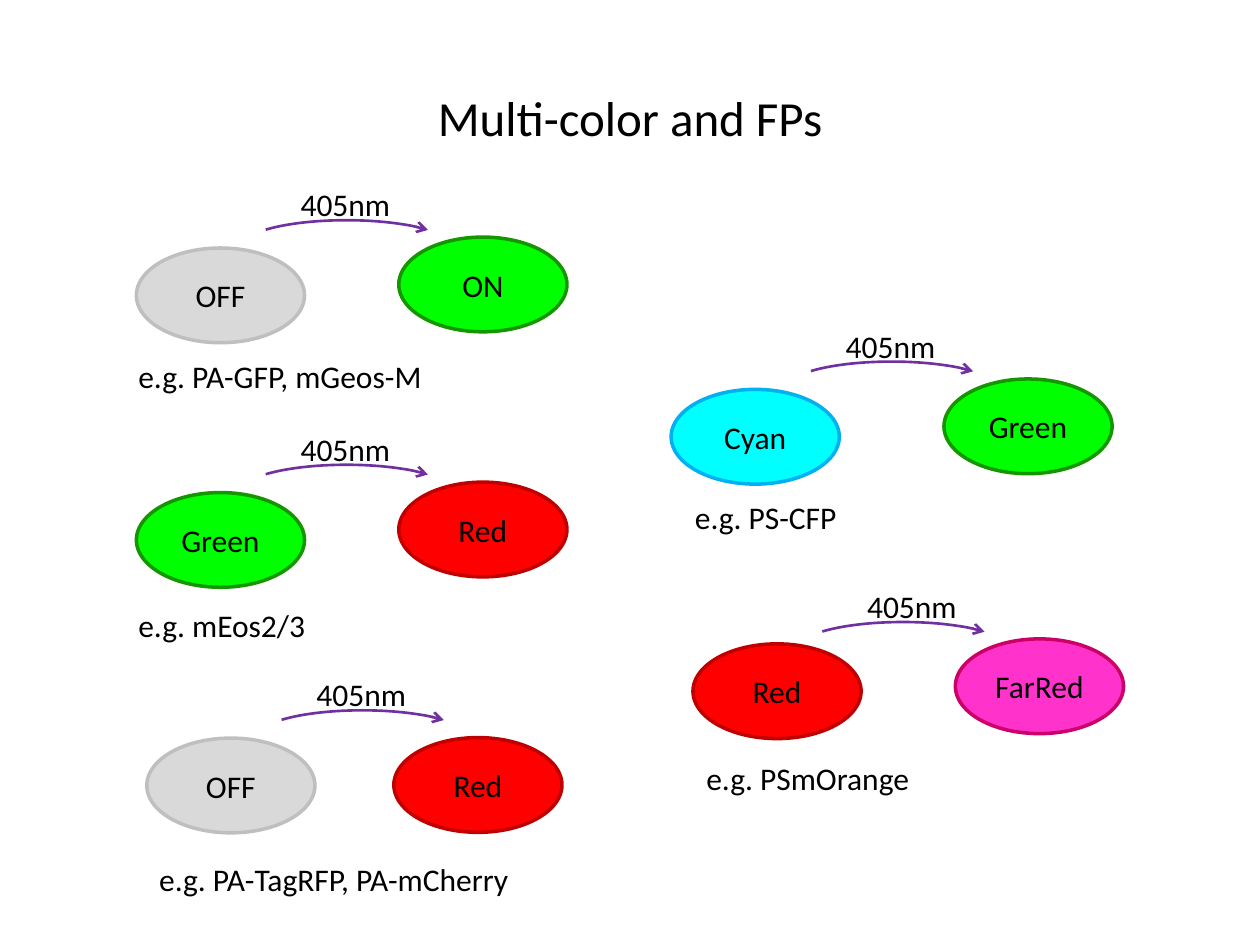
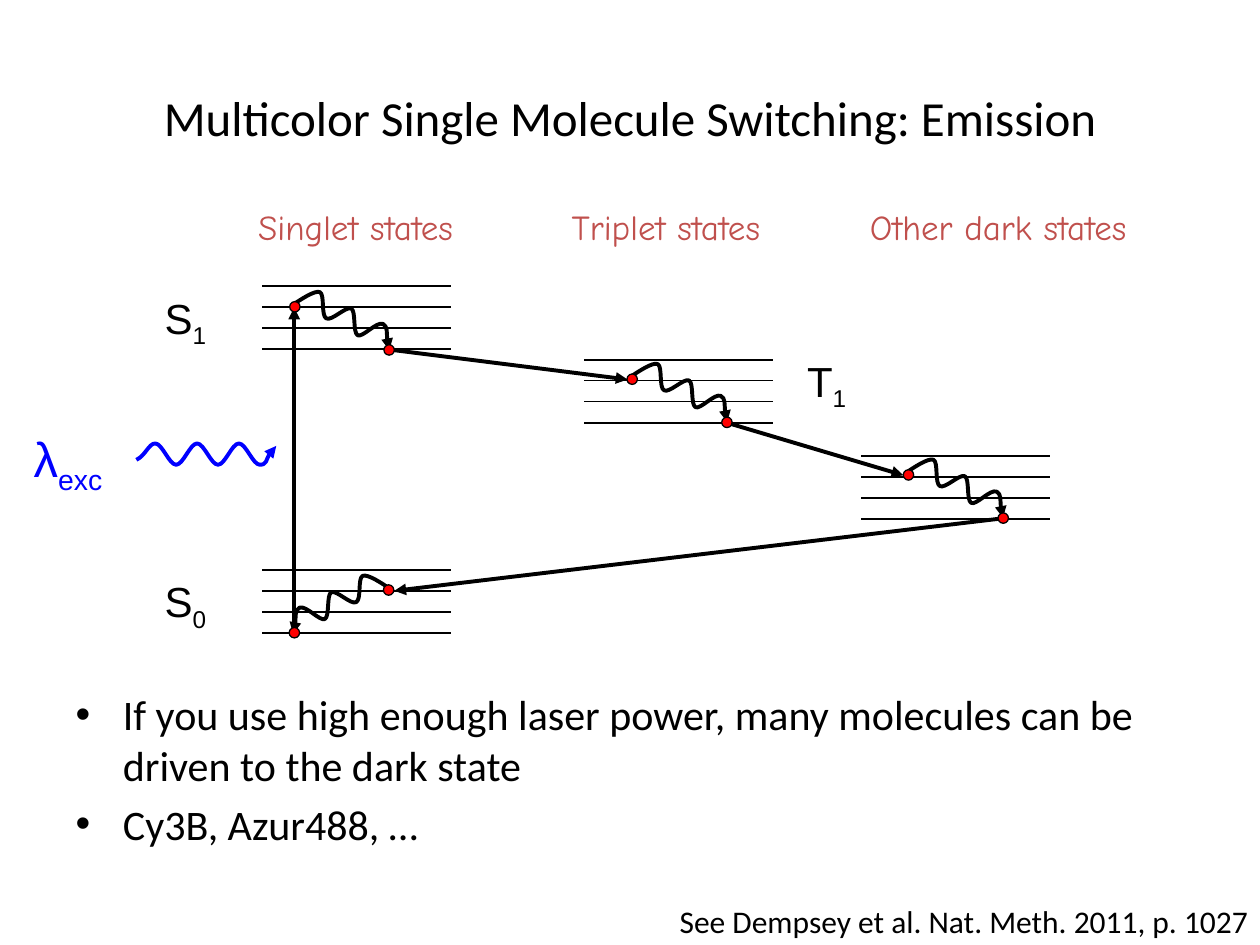
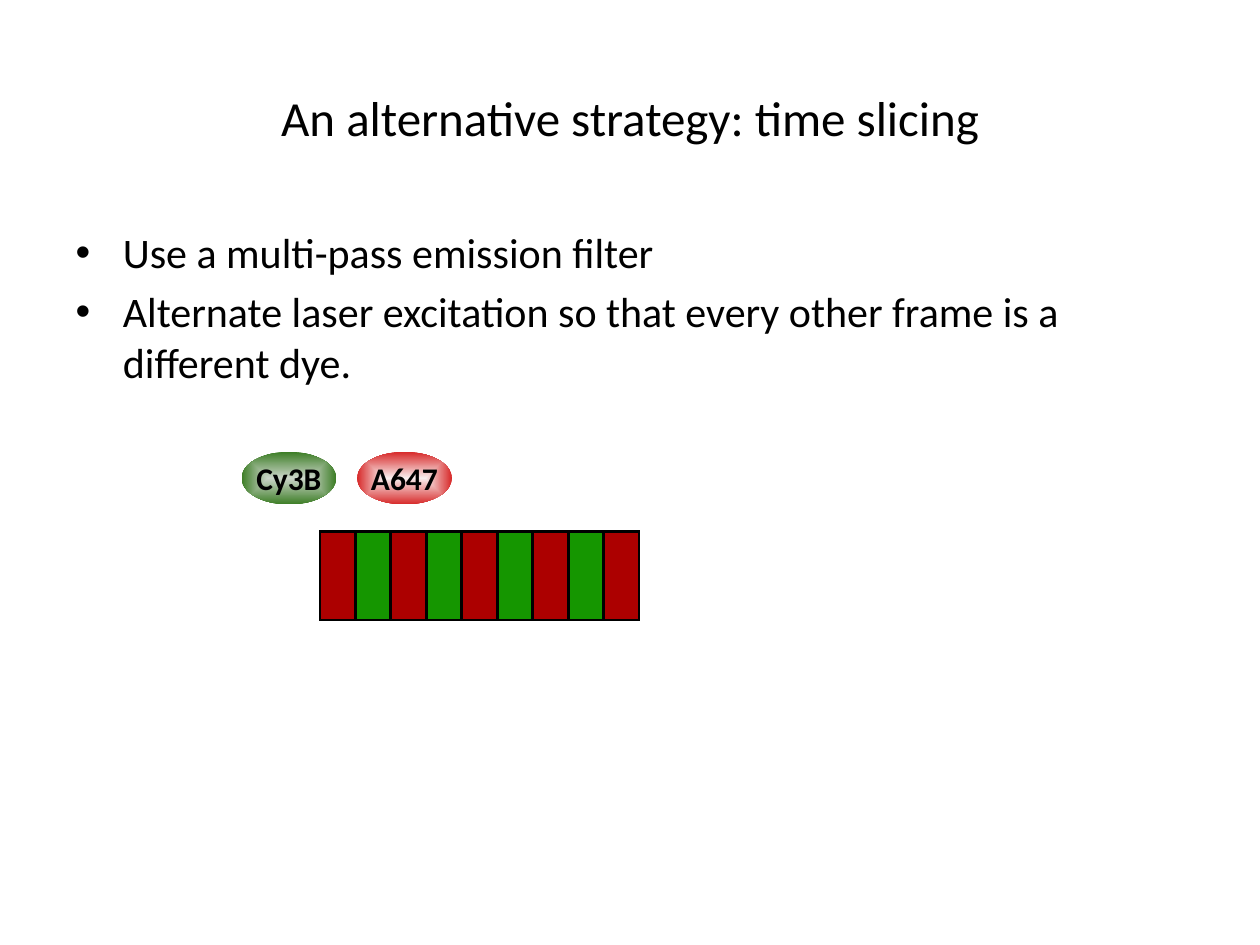
from itertools import cycle, islice

from lxml.etree import SubElement
from pptx import Presentation
from pptx.dml.color import RGBColor
from pptx.enum.shapes import MSO_CONNECTOR as Connector, MSO_SHAPE as Shape
from pptx.enum.text import MSO_ANCHOR as Anchor, PP_ALIGN as Align
from pptx.oxml.ns import qn
from pptx.util import Cm, Pt

# Shared look
BLACK, RED, VIOLET, BLUE, BRICK = "000000", "FF0000", "7030A0", "0000FF", "C0504D"
TITLE_SIZE, LIST_SIZE, LABEL_SIZE = 28, 24, 18
TITLE_ONLY, TITLE_AND_LIST = 5, 1

# Slide 1: fluorescent proteins, positions in cm
FP_TITLE = "Multi-color and FPs"
STATES = {  # fill, outline
    "OFF": ("D9D9D9", "BFBFBF"),
    "ON": ("00FF00", "159600"),
    "Green": ("00FF00", "159600"),
    "Red": (RED, "C00000"),
    "Cyan": ("00FFFF", "00B0F0"),
    "FarRed": ("FF33CC", "CC0066"),
}
SWITCHES = [  # before, its place, after, its place, arc, light left, example, its place and width
    ("OFF", (2.75, 5), "ON", (8.04, 4.78), (4.87, 4.44), 5.81,
     "e.g. PA-GFP, mGeos-M", (2.54, 7.07, 6.27)),
    ("Green", (2.75, 9.93), "Red", (8.04, 9.72), (4.87, 9.37), 5.81,
     "e.g. mEos2/3", (2.54, 12.09, 3.91)),
    ("OFF", (2.96, 14.88), "Red", (7.94, 14.87), (5.19, 14.32), 6.13,
     "e.g. PA-TagRFP, PA-mCherry", (2.96, 17.21, 7.62)),
    ("Cyan", (13.53, 7.85), "Green", (19.03, 7.64), (15.86, 7.29), 16.8,
     "e.g. PS-CFP", (13.76, 9.91, 3.4)),
    ("Red", (13.97, 12.98), "FarRed", (19.26, 12.88), (16.09, 12.54), 17.23,
     "e.g. PSmOrange", (13.99, 15.17, 4.65)),
]
LIGHT = "405nm"
STATE_SIZE, ARC_SIZE, ARC_ANGLES = (3.39, 1.91), (4.23, 1.06), (115.06, 209.11)
LIGHT_RISE, LIGHT_WIDTH, LABEL_HEIGHT = 0.83, 2.34, 1.02

# Slide 2: energy levels
EMISSION_TITLE = "Multicolor Single Molecule Switching: Emission"
EMISSION_POINTS = [
    "If you use high enough laser power, many molecules can be driven to the dark state",
    "Cy3B, Azur488, …",
]
EMISSION_LIST_BOX = (1.27, 13.76, 22.86, 4.01)
CITATION = "See Dempsey et al. Nat. Meth. 2011, p. 1027"
CITATION_BOX = (11.45, 18.06, 13.97, 1.02)
HEADINGS = [("Singlet states", 4.78, 4.78), ("Triplet states", 11.14, 4.57),
            ("Other dark states", 17.14, 5.97)]
SYMBOLS = [  # letter, subscript, box, size, colour
    ("S", "0", (3.07, 11.48, 1.4, 1.27), 24, BLACK),
    ("S", "1", (3.07, 5.77, 1.4, 1.27), 24, BLACK),
    ("T", "1", (16.02, 7.04, 1.35, 1.27), 24, BLACK),
    ("λ", "exc", (0.43, 8.52, 2.11, 1.45), 28, BLUE),
]
LEVEL_GROUPS = [(5.29, 11.49), (5.29, 5.77), (11.78, 7.25), (17.36, 9.19)]
LEVEL_COUNT, LEVEL_WIDTH, GROUP_HEIGHT = 4, 3.81, 1.27
TRANSITIONS = [
    ((5.93, 12.75), (5.93, 6.2)), ((7.95, 7.06), (12.65, 7.65)),
    ((14.68, 8.53), (18.21, 9.58)), ((20.12, 10.46), (7.95, 11.91)),
]
RELAXATIONS = [  # start, direction
    ((5.94, 6.12), 1), ((12.75, 7.57), 1), ((18.31, 9.5), 1), ((7.82, 11.84), -1),
]
RELAXATION_CURVE = [  # Bezier points, from the start
    (0, 0), (0.08, -0.05), (0.41, -0.28), (0.51, -0.23), (0.61, -0.18), (0.53, 0.25),
    (0.64, 0.3), (0.74, 0.36), (1.04, 0.05), (1.14, 0.1), (1.24, 0.15), (1.17, 0.58),
    (1.27, 0.64), (1.37, 0.69), (1.65, 0.36), (1.78, 0.41), (1.88, 0.46), (1.85, 0.84),
    (1.91, 0.94),
]
PHOTON_START = [(2.75, 9.27), (2.93, 9.19), (3, 8.94), (3.13, 8.94)]
PHOTON_END = [(5.38, 9.37), (5.39, 9.12), (5.57, 8.99)]
PHOTON_TURNS, PHOTON_SPAN, PHOTON_PULL = 5, 2.11, 0.14
CREST, TROUGH = 8.94, 9.37
ELECTRONS = [(5.83, 12.65), (5.84, 6.08), (7.74, 6.95), (7.73, 11.79),
             (12.64, 7.54), (14.55, 8.41), (18.21, 9.47), (20.12, 10.34)]
ELECTRON_SIZE = 0.21

# Slide 3: alternating frames
SLICING_TITLE = "An alternative strategy: time slicing"
SLICING_POINTS = [
    "Use a multi-pass emission filter",
    "Alternate laser excitation so that every other frame is a different dye.",
]
DYES = [("Cy3B", 4.87, ("CBD5C9", "3C7D25")), ("A647", 7.2, ("F9EEEE", "D72929"))]
DYE_TOP, DYE_SIZE = 9.11, (1.91, 1.06)
FRAME_COLOURS, FRAME_COUNT = ("AC0000", "159600"), 9
FRAME_LEFT, FRAME_TOP, FRAME_SPAN, FRAME_SIZE = 5.92, 11.25, 5.72, (1.78, 0.71)
FRAME_TURN = 270


def rgb(colour):
    return RGBColor.from_string(colour)


def lengths(*values):
    return [Cm(value) for value in values]


def style_font(font, colour=BLACK, **values):
    for key, value in ({"name": "Calibri"} | values).items():
        setattr(font, key, value)
    font.color.rgb = rgb(colour)


def style_line(line, colour, width, head=None):
    line.color.rgb = rgb(colour)
    line.width = Pt(width)
    if head:
        SubElement(line._get_or_add_ln(), qn("a:tailEnd"), type=head)


def start_slide(deck, layout, title, points=(), box=None):
    slide = deck.slides.add_slide(deck.slide_layouts[layout])
    slide.shapes.title.text = title
    style_font(slide.shapes.title.text_frame.paragraphs[0].runs[0].font, size=Pt(TITLE_SIZE))
    if points:
        body = slide.placeholders[1]
        if box:
            body.left, body.top, body.width, body.height = lengths(*box)
        body.text_frame.text = "\n".join(points)
        for paragraph in body.text_frame.paragraphs:
            style_font(paragraph.runs[0].font, size=Pt(LIST_SIZE))
    return slide.shapes


def add_label(shapes, box, text, size=LABEL_SIZE, colour=BLACK, font="Calibri",
              align=Align.LEFT, wrap=False, subscript=None):
    frame = shapes.add_textbox(*lengths(*box)).text_frame
    frame.word_wrap = wrap
    paragraph = frame.paragraphs[0]
    paragraph.alignment = align
    for part in filter(None, (text, subscript)):
        run = paragraph.add_run()
        run.text = part
        style_font(run.font, colour, name=font, size=Pt(size))
        if part == subscript:
            run._r.get_or_add_rPr().set("baseline", "-25000")


def add_figure(shapes, kind, place, size, fill=None, line=None, text=None, wrap=True, bold=False):
    figure = shapes.add_shape(kind, *lengths(*place, *size))
    figure.shadow.inherit = False
    if fill:
        figure.fill.solid()
        figure.fill.fore_color.rgb = rgb(fill)
    else:
        figure.fill.background()
    if line:
        style_line(figure.line, *line)
    else:
        figure.line.fill.background()
    if text:
        frame = figure.text_frame
        frame.text, frame.word_wrap, frame.vertical_anchor = text, wrap, Anchor.MIDDLE
        frame.paragraphs[0].alignment = Align.CENTER
        style_font(frame.paragraphs[0].runs[0].font, size=Pt(LABEL_SIZE), bold=bold)
    return figure


def add_line(shapes, start, end, width, head=None):
    line = shapes.add_connector(Connector.STRAIGHT, *lengths(*start, *end))
    style_line(line.line, BLACK, width, head)
    SubElement(line._element.spPr, qn("a:effectLst"))


def add_wave(shapes, points, colour):
    start, *rest = [lengths(*point) for point in points]
    builder = shapes.build_freeform(*start)
    builder.add_line_segments(rest, close=False)
    wave = builder.convert_to_shape()

    # Every three segments become one cubic curve
    outline = next(wave._element.spPr.iter(qn("a:path")))
    for index, segment in enumerate(outline.findall(qn("a:lnTo"))):
        if index % 3 == 0:
            curve = SubElement(outline, qn("a:cubicBezTo"))
        curve.append(segment[0])
        outline.remove(segment)

    wave.shadow.inherit = False
    wave.fill.background()
    style_line(wave.line, colour, 2.25, "triangle")


def photon_curve():
    points = list(PHOTON_START)
    for height in islice(cycle((TROUGH, CREST)), PHOTON_TURNS):
        x, y = points[-1]
        turn = x + PHOTON_SPAN / PHOTON_TURNS
        points += [(x + PHOTON_PULL, y), (turn - PHOTON_PULL, height), (turn, height)]
    return points + PHOTON_END


def shade_from_centre(figure, colours):
    fill = figure.fill
    fill.gradient()
    for stop, position, colour in zip(fill.gradient_stops, (0, 1), colours):
        stop.position = position
        stop.color.rgb = rgb(colour)
    gradient = figure._element.spPr.find(qn("a:gradFill"))
    gradient.remove(gradient.find(qn("a:lin")))
    outline = SubElement(gradient, qn("a:path"), path="shape")
    SubElement(outline, qn("a:fillToRect"), dict.fromkeys("ltrb", "50000"))


def build_proteins(deck):
    shapes = start_slide(deck, TITLE_ONLY, FP_TITLE)
    for before, before_at, after, after_at, arc_at, light_left, example, example_at in SWITCHES:
        for state, place in ((before, before_at), (after, after_at)):
            fill, outline = STATES[state]
            add_figure(shapes, Shape.OVAL, place, STATE_SIZE, fill, (outline, 2), state)
        arc = add_figure(shapes, Shape.ARC, arc_at, ARC_SIZE, line=(VIOLET, 1.5, "arrow"))
        for index, angle in enumerate(ARC_ANGLES):
            arc.adjustments[index] = angle
        light_box = (light_left, arc_at[1] - LIGHT_RISE, LIGHT_WIDTH, LABEL_HEIGHT)
        add_label(shapes, light_box, LIGHT)
        add_label(shapes, (*example_at, LABEL_HEIGHT), example)


def build_emission(deck):
    shapes = start_slide(deck, TITLE_AND_LIST, EMISSION_TITLE, EMISSION_POINTS, EMISSION_LIST_BOX)
    for left, top in LEVEL_GROUPS:
        for level in range(LEVEL_COUNT):
            y = top + level * GROUP_HEIGHT / (LEVEL_COUNT - 1)
            add_line(shapes, (left, y), (left + LEVEL_WIDTH, y), 1)
    for letter, subscript, box, size, colour in SYMBOLS:
        add_label(shapes, box, letter, size, colour, "Arial", subscript=subscript)
    for heading, left, width in HEADINGS:
        add_label(shapes, (left, 4.01, width, 1.12), heading, 20, BRICK, "Comic Neue", Align.CENTER)

    # Waves, transitions and electrons
    for (x, y), direction in RELAXATIONS:
        add_wave(shapes, [(x + direction * dx, y + dy) for dx, dy in RELAXATION_CURVE], BLACK)
    add_wave(shapes, photon_curve(), BLUE)
    for start, end in TRANSITIONS:
        add_line(shapes, start, end, 2.25, "triangle")
    for place in ELECTRONS:
        add_figure(shapes, Shape.OVAL, place, (ELECTRON_SIZE, ELECTRON_SIZE), RED, (BLACK, 0.75))
    add_label(shapes, CITATION_BOX, CITATION, align=Align.RIGHT, wrap=True)


def build_slicing(deck):
    shapes = start_slide(deck, TITLE_AND_LIST, SLICING_TITLE, SLICING_POINTS)
    for index, colour in enumerate(islice(cycle(FRAME_COLOURS), FRAME_COUNT)):
        place = (FRAME_LEFT + index * FRAME_SPAN / (FRAME_COUNT - 1), FRAME_TOP)
        frame = add_figure(shapes, Shape.RECTANGLE, place, FRAME_SIZE, colour, (BLACK, 1.5))
        frame.rotation = FRAME_TURN
        SubElement(frame.line._get_or_add_ln(), qn("a:miter"), lim="800000")
    for dye, left, colours in DYES:
        oval = add_figure(shapes, Shape.OVAL, (left, DYE_TOP), DYE_SIZE,
                          text=dye, wrap=False, bold=True)
        shade_from_centre(oval, colours)


def main():
    deck = Presentation()
    deck.slide_width, deck.slide_height = lengths(25.4, 19.05)
    build_proteins(deck)
    build_emission(deck)
    build_slicing(deck)
    deck.save("out.pptx")


if __name__ == "__main__":
    main()
